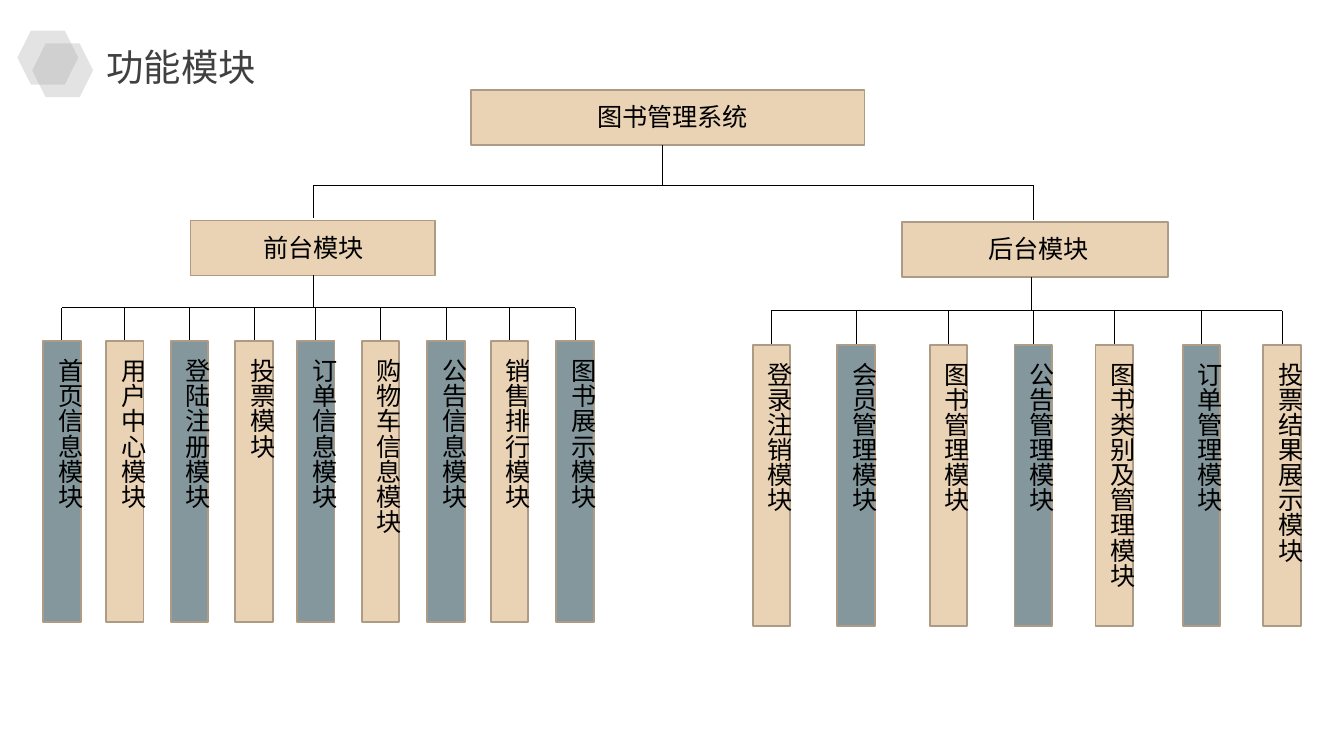
"""Build the function module tree of a library management system."""
from lxml.etree import SubElement
from pptx import Presentation
from pptx.dml.color import RGBColor
from pptx.enum.lang import MSO_LANGUAGE_ID
from pptx.enum.shapes import MSO_CONNECTOR, MSO_SHAPE
from pptx.enum.text import MSO_ANCHOR, MSO_AUTO_SIZE, PP_ALIGN
from pptx.oxml.ns import qn
from pptx.util import Cm, Pt

SAND, SLATE, EDGE = "EAD2B4", "84979D", "AD9B85"
GREY, DARK, BLACK = "A6A6A6", "404040", "000000"
BAR_WIDTH, BAR_HEIGHT = 0.71, 5.31
LABEL_WIDTH, LABEL_HEIGHT, LABEL_SHIFT = 1.09, 5.18, 0.53

FRONT_BARS = [
    ("首页信息模块", 1.17, SLATE), ("用户中心模块", 2.36, SAND),
    ("登陆注册模块", 3.58, SLATE), ("投票模块", 4.8, SAND),
    ("订单信息模块", 5.97, SLATE), ("购物车信息模块", 7.19, SAND),
    ("公告信息模块", 8.43, SLATE), ("销售排行模块", 9.63, SAND),
    ("图书展示模块", 10.87, SLATE),
]
BACK_BARS = [
    ("登录注销模块", 14.58, SAND), ("会员管理模块", 16.18, SLATE),
    ("图书管理模块", 17.93, SAND), ("公告管理模块", 19.53, SLATE),
    ("图书类别及管理模块", 21.06, SAND), ("订单管理模块", 22.71, SLATE),
    ("投票结果展示模块", 24.23, SAND),
]


def color(value):
    return RGBColor.from_string(value)


class TreeSlide:
    """Holds the text style and the current slide, and draws each kind of element."""

    def __init__(self, slide, font="Calibri", size=13.5):
        self.slide = slide
        self.shapes = slide.shapes
        self.font = font
        self.size = size

    def set_text(self, frame, text, font, size, ink):
        frame.auto_size = MSO_AUTO_SIZE.SHAPE_TO_FIT_TEXT
        frame.vertical_anchor = MSO_ANCHOR.TOP
        frame.text = text
        para = frame.paragraphs[0]
        para.alignment = PP_ALIGN.CENTER
        span = para.runs[0]
        span.font.name = font
        span.font.size = Pt(size)
        span.font.color.rgb = color(ink)
        span.font.language_id = MSO_LANGUAGE_ID.SIMPLIFIED_CHINESE

    def title(self, text, left, top, width, height):
        box = self.shapes.title
        box.left, box.top, box.width, box.height = map(Cm, (left, top, width, height))
        box.text_frame.word_wrap = False
        self.set_text(box.text_frame, text, "Noto Sans CJK SC", 20, DARK)

    def label(self, text, left, top, width, height, vertical=False):
        box = self.shapes.add_textbox(Cm(left), Cm(top), Cm(width), Cm(height))
        box.text_frame.word_wrap = True
        self.set_text(box.text_frame, text, self.font, self.size, BLACK)
        if vertical:
            box.text_frame._txBody.bodyPr.set("vert", "eaVert")

    def box(self, left, top, width, height, fill):
        box = self.shapes.add_shape(
            MSO_SHAPE.RECTANGLE, Cm(left), Cm(top), Cm(width), Cm(height))
        box.shadow.inherit = False
        box.fill.solid()
        box.fill.fore_color.rgb = color(fill)
        box.line.color.rgb = color(EDGE)
        box.line.width = Pt(1)

    def hexagon(self, left, top):
        hexagon = self.shapes.add_shape(
            MSO_SHAPE.HEXAGON, Cm(left), Cm(top), Cm(1.15), Cm(1.02))
        hexagon.shadow.inherit = False
        hexagon.fill.solid()
        hexagon.fill.fore_color.rgb = color(GREY)
        hexagon.line.fill.background()
        tint = hexagon._element.spPr.find(qn("a:solidFill"))[0]
        SubElement(tint, qn("a:alpha")).set("val", "31000")

    def line(self, start_x, start_y, end_x, end_y):
        line = self.shapes.add_connector(
            MSO_CONNECTOR.STRAIGHT, Cm(start_x), Cm(start_y), Cm(end_x), Cm(end_y))
        line.line.color.rgb = color(BLACK)
        line.line.width = Pt(0.5)
        SubElement(line._element.spPr, qn("a:effectLst"))

    def branch(self, bars, stem_x, stem_top, rail, bar_top):
        self.line(stem_x, stem_top, stem_x, rail)
        self.line(bars[0][1], rail, bars[-1][1], rail)
        for text, center, fill in bars:
            self.line(center, rail, center, bar_top)
            self.box(center - BAR_WIDTH / 2, bar_top, BAR_WIDTH, BAR_HEIGHT, fill)
            self.label(text, center - LABEL_SHIFT, bar_top + 0.08,
                       LABEL_WIDTH, LABEL_HEIGHT, vertical=True)


def main():
    deck = Presentation()
    deck.slide_width, deck.slide_height = Cm(25.4), Cm(14.29)
    tree = TreeSlide(deck.slides.add_slide(deck.slide_layouts[5]))

    tree.hexagon(0.33, 0.58)
    tree.hexagon(0.61, 0.82)
    tree.title("功能模块", 1.75, 0.71, 3.35, 1.12)

    tree.box(8.9, 1.7, 7.44, 1.04, SAND)
    tree.label("图书管理系统", 9.73, 1.8, 5.97, 0.84)
    tree.line(12.52, 2.74, 12.52, 3.5)
    tree.line(5.92, 3.5, 19.53, 3.5)
    tree.line(5.92, 3.5, 5.92, 4.12)
    tree.line(19.53, 3.5, 19.53, 4.15)

    tree.box(3.6, 4.17, 4.62, 1.04, SAND)
    tree.label("前台模块", 3.94, 4.27, 3.96, 0.84)
    tree.branch(FRONT_BARS, 5.92, 5.2, 5.82, 6.45)

    tree.box(17.04, 4.2, 5.03, 1.04, SAND)
    tree.label("后台模块", 17.65, 4.29, 3.96, 0.84)
    tree.branch(BACK_BARS, 19.5, 5.24, 5.87, 6.52)

    deck.save("out.pptx")


if __name__ == "__main__":
    main()
